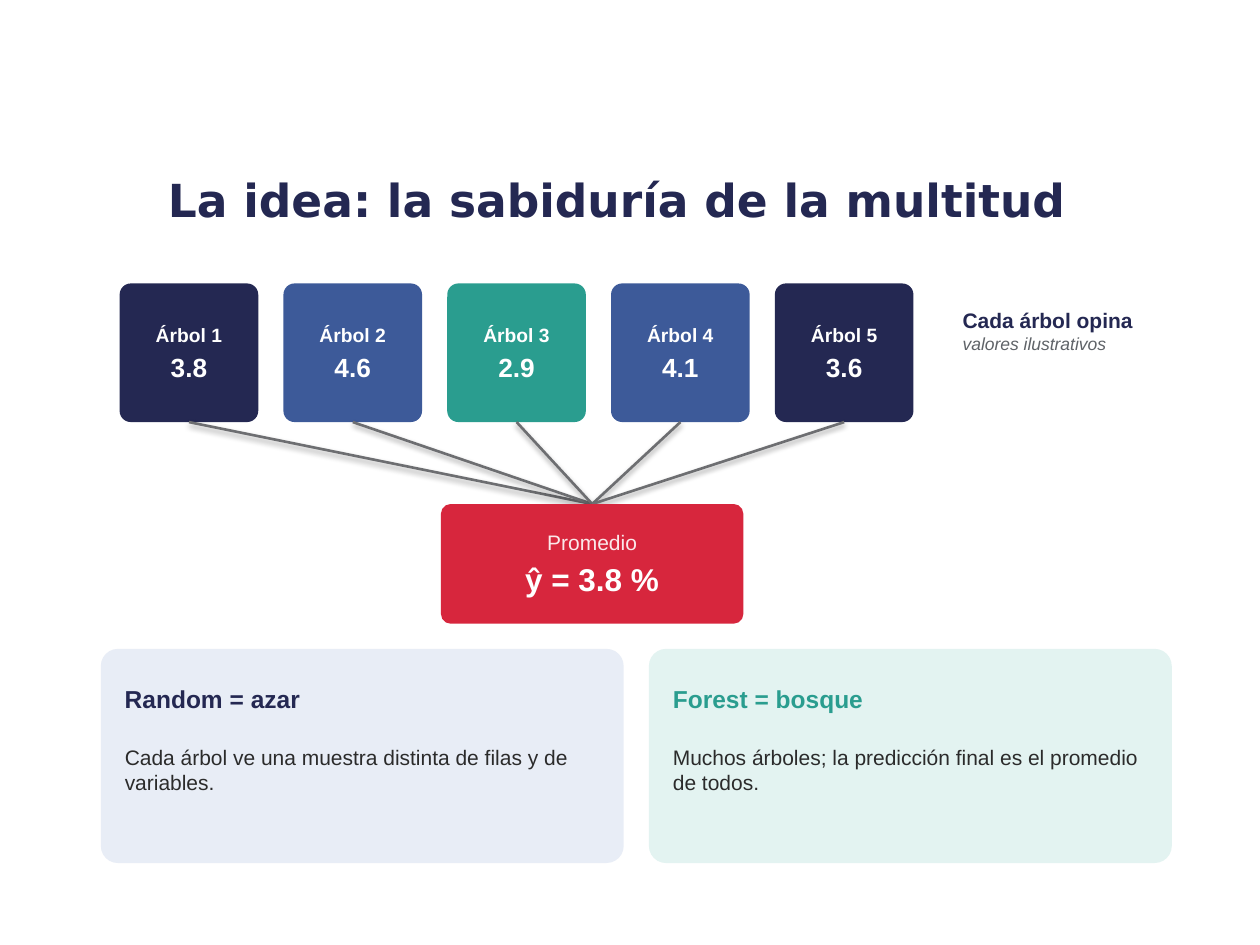
"""Build the slide that explains a random forest as the average of many trees."""
from collections import namedtuple
from dataclasses import dataclass

import pptx
import pptx.dml.color
import pptx.enum.shapes
import pptx.enum.text
import pptx.util

Pt = pptx.util.Pt
Align = pptx.enum.text.PP_ALIGN
Anchor = pptx.enum.text.MSO_ANCHOR
Fit = pptx.enum.text.MSO_AUTO_SIZE
Box = namedtuple("Box", "left top width height")
Span = namedtuple("Span", "text size color bold italic", defaults=(False, False))


@dataclass(frozen=True)
class Theme:
    """Hold the fonts, colours and type sizes of the slide."""
    title_font: str = "DejaVu Sans"
    body_font: str = "Arial"
    navy: str = "242852"
    blue: str = "3D5A99"
    teal: str = "2A9D8F"
    red: str = "D7263D"
    blush: str = "FBE8EA"
    white: str = "FFFFFF"
    line: str = "6D6E71"
    muted: str = "5F6368"
    ink: str = "2B2B2B"
    pale_blue: str = "E8EDF6"
    pale_teal: str = "E3F3F1"
    title: int = 26
    result: int = 18
    value: int = 15
    heading: int = 14
    body: int = 12
    label: int = 11
    caption: int = 10


THEME = Theme()


def rgb(color):
    """Turn a hex string into a colour."""
    return pptx.dml.color.RGBColor.from_string(color)


def points(box):
    """Turn a box into four lengths."""
    return [Pt(length) for length in box]


def write(frame, spans, align=Align.LEFT, after=0, font=THEME.body_font):
    """Write each span as one paragraph of the frame."""
    frame.word_wrap = True
    for index, span in enumerate(spans):
        para = frame.add_paragraph() if index else frame.paragraphs[0]
        para.alignment = align
        para.space_after = Pt(after)
        run = para.add_run()
        run.text = span.text
        run.font.name = font
        run.font.size = Pt(span.size)
        run.font.bold = span.bold
        run.font.italic = span.italic
        run.font.color.rgb = rgb(span.color)


def set_insets(frame, inset):
    """Give all four sides of the frame the same inset."""
    frame.margin_left = frame.margin_right = Pt(inset)
    frame.margin_top = frame.margin_bottom = Pt(inset)


def add_card(page, box, color, spans=()):
    """Add a rounded card with centred text."""
    card = page.shapes.add_shape(
        pptx.enum.shapes.MSO_SHAPE.ROUNDED_RECTANGLE, *points(box))
    card.adjustments[0] = 0.08
    card.shadow.inherit = False
    card.fill.solid()
    card.fill.fore_color.rgb = rgb(color)
    card.line.fill.background()
    set_insets(card.text_frame, 5.76)
    card.text_frame.vertical_anchor = Anchor.MIDDLE
    write(card.text_frame, spans, Align.CENTER, after=3)
    return card


def add_text(page, box, spans, anchor=Anchor.TOP, after=0):
    """Add a text box that grows with its text."""
    frame = page.shapes.add_textbox(*points(box)).text_frame
    set_insets(frame, 2.88)
    frame.vertical_anchor = anchor
    write(frame, spans, after=after)
    frame.auto_size = Fit.SHAPE_TO_FIT_TEXT


def add_title(page, box, text):
    """Place and format the title placeholder."""
    title = page.shapes.title
    title.left, title.top, title.width, title.height = points(box)
    title.text_frame.auto_size = Fit.NONE
    title.text_frame.vertical_anchor = Anchor.MIDDLE
    write(title.text_frame, [Span(text, THEME.title, THEME.navy, True)],
          Align.CENTER, font=THEME.title_font)


def add_forest(page, box, values, average):
    """Add a row of trees whose lines meet at the average below."""
    side, result_width, result_height = 79.2, 172.8, 68.4
    step = (box.width - side) / (len(values) - 1)
    result_top = box.top + box.height - result_height
    result_left = box.left + 183.6
    meeting = Pt(result_left + result_width / 2), Pt(result_top)
    colors = [THEME.navy, THEME.blue, THEME.teal, THEME.blue, THEME.navy]
    branches = []
    for index, (value, color) in enumerate(zip(values, colors)):
        tree = add_card(
            page, Box(box.left + index * step, box.top, side, side), color,
            [Span(f"Árbol {index + 1}", THEME.label, THEME.white, True),
             Span(value, THEME.value, THEME.white, True)])
        branch = page.shapes.add_connector(
            pptx.enum.shapes.MSO_CONNECTOR.STRAIGHT, 0, 0, *meeting)
        branch.begin_connect(tree, 2)
        branch.line.color.rgb = rgb(THEME.line)
        branch.line.width = Pt(1.5)
        branches.append(branch)
    result = add_card(
        page, Box(result_left, result_top, result_width, result_height),
        THEME.red, [Span("Promedio", THEME.body, THEME.blush),
                    Span(average, THEME.result, THEME.white, True)])
    for branch in branches:
        branch.end_connect(result, 0)


def add_note(page, box):
    """Add the remark beside the trees."""
    add_text(page, box, [
        Span("Cada árbol opina", THEME.body, THEME.navy, True),
        Span("valores ilustrativos", THEME.caption, THEME.muted, italic=True)])


def add_panel(page, box, fill, color, heading, body):
    """Add a tinted panel with a heading and a sentence."""
    add_card(page, box, fill)
    left = box.left + 10.8
    add_text(page, Box(left, box.top + 8.64, box.width - 18, 39.6),
             [Span(heading, THEME.heading, color, True)], Anchor.MIDDLE, after=4)
    add_text(page, Box(left, box.top + 51.84, box.width - 21.6, 64.8),
             [Span(body, THEME.body, THEME.ink)], after=4)


def main():
    """Build and save the deck."""
    deck = pptx.Presentation()
    deck.slide_width, deck.slide_height = Pt(720), Pt(540)
    page = deck.slides.add_slide(deck.slide_layouts[5])
    add_title(page, Box(54, 84.96, 597.6, 57.6),
              "La idea: la sabiduría de la multitud")
    add_forest(page, Box(68.4, 162, 453.6, 194.4),
               ["3.8", "4.6", "2.9", "4.1", "3.6"], "ŷ = 3.8 %")
    add_note(page, Box(547.2, 172.8, 122.4, 72))
    panels = [
        (THEME.pale_blue, THEME.navy, "Random = azar",
         "Cada árbol ve una muestra distinta de filas y de variables."),
        (THEME.pale_teal, THEME.teal, "Forest = bosque",
         "Muchos árboles; la predicción final es el promedio de todos.")]
    for index, panel in enumerate(panels):
        add_panel(page, Box(57.6 + index * 313.2, 370.8, 298.8, 122.4), *panel)
    deck.save("out.pptx")


if __name__ == "__main__":
    main()
